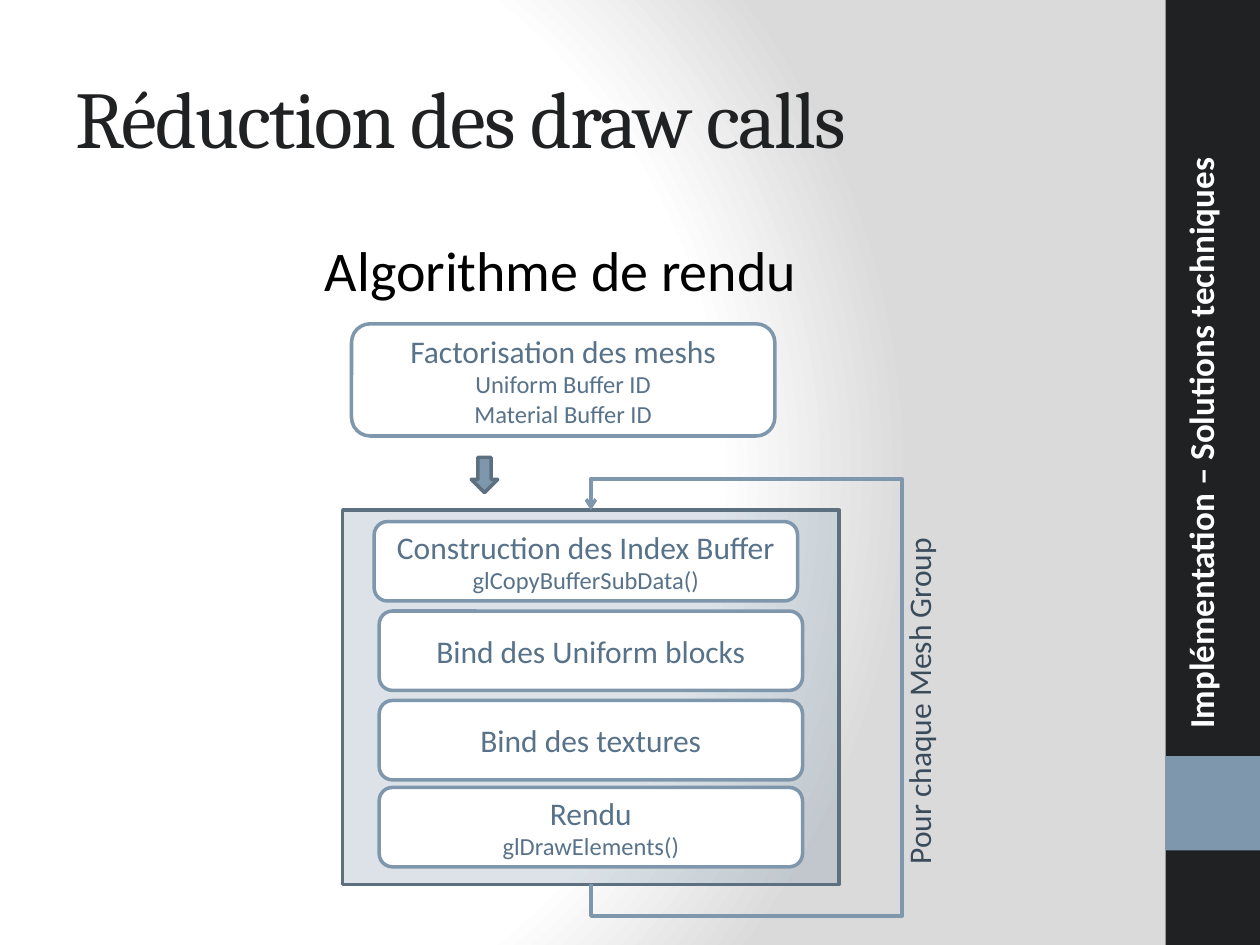
from lxml import etree
from pptx import Presentation
from pptx.dml.color import RGBColor
from pptx.enum.shapes import MSO_SHAPE as Kind
from pptx.enum.text import MSO_ANCHOR as Anchor, MSO_AUTO_SIZE as Fit, PP_ALIGN as Align
from pptx.oxml import parse_xml
from pptx.oxml.ns import qn
from pptx.util import Inches, Pt

DARK, BLUE, EDGE, INK, WHITE = "1F2123", "7E97AD", "5D7080", "577289", "FFFFFF"
BACK = """<a:gradFill xmlns:a="http://schemas.openxmlformats.org/drawingml/2006/main" rotWithShape="1">
<a:gsLst>
<a:gs pos="0"><a:srgbClr val="FFFFFF"/></a:gs>
<a:gs pos="75000"><a:srgbClr val="FFFFFF"/></a:gs>
<a:gs pos="100000"><a:srgbClr val="DADADA"/></a:gs>
</a:gsLst>
<a:path path="circle"><a:fillToRect l="20000" t="50000" r="100000" b="50000"/></a:path>
</a:gradFill>"""


def color(code):
    return RGBColor.from_string(code)


def write(frame, text, size=18, ink=INK, face="Calibri", bold=False,
          align=Align.LEFT, small=14, space=None, track=None):
    """Fill a text frame; lines after the first take the small size."""
    for i, line in enumerate(text.split("\n")):
        para = frame.add_paragraph() if i else frame.paragraphs[0]
        para.alignment = align
        if space:
            para.line_spacing = space
        run = para.add_run()
        run.text = line
        font = run.font
        font.name, font.bold = face, bold
        font.size = Pt(small if i else size)
        font.color.rgb = color(ink)
        if track:
            font._element.set("spc", str(track))


class Deck:
    def __init__(self, wide, high):
        self.prs = Presentation()
        self.prs.slide_width, self.prs.slide_height = Inches(wide), Inches(high)
        self.slide = self.prs.slides.add_slide(self.prs.slide_layouts[5])
        self.shapes = self.slide.shapes

    def back(self, xml):
        fill = self.slide.background.fill
        fill.solid()
        solid = self.slide._element.find(".//" + qn("p:bgPr")).find(qn("a:solidFill"))
        solid.getparent().replace(solid, parse_xml(xml))

    def title(self, text, box):
        shape = self.shapes.title
        shape.left, shape.top, shape.width, shape.height = map(Inches, box)
        frame = shape.text_frame
        frame.vertical_anchor = Anchor.MIDDLE
        write(frame, text, size=46, ink=DARK, face="Cambria", track=-100)

    def shape(self, kind, box, fill, line=None, alpha=None):
        shape = self.shapes.add_shape(kind, *map(Inches, box))
        shape.shadow.inherit = False
        shape.fill.solid()
        shape.fill.fore_color.rgb = color(fill)
        if alpha:
            tone = shape._element.spPr.find(qn("a:solidFill"))[0]
            etree.SubElement(tone, qn("a:alpha")).set("val", str(alpha * 1000))
        if line:
            shape.line.color.rgb = color(line)
            shape.line.width = Pt(2)
        else:
            shape.line.fill.background()
        return shape

    def step(self, text, box):
        shape = self.shape(Kind.ROUNDED_RECTANGLE, box, WHITE, BLUE)
        frame = shape.text_frame
        frame.word_wrap = True
        frame.vertical_anchor = Anchor.MIDDLE
        write(frame, text, align=Align.CENTER)

    def label(self, text, box, upward=False, **style):
        frame = self.shapes.add_textbox(*map(Inches, box)).text_frame
        frame.word_wrap = upward
        frame.auto_size = Fit.SHAPE_TO_FIT_TEXT
        if upward:
            frame._txBody.bodyPr.set("vert", "vert270")
        write(frame, text, **style)

    def loop(self, points):
        """Open bent line with an arrowhead at its last point."""
        spots = [(Inches(x), Inches(y)) for x, y in points]
        path = self.shapes.build_freeform(*spots[0])
        path.add_line_segments(spots[1:], close=False)
        shape = path.convert_to_shape()
        shape.shadow.inherit = False
        shape.fill.background()
        shape.line.color.rgb = color(BLUE)
        shape.line.width = Pt(2)
        etree.SubElement(shape.line._get_or_add_ln(), qn("a:tailEnd")).set("type", "arrow")


def main():
    deck = Deck(10, 7.5)
    deck.back(BACK)

    # Side band and headings
    deck.shape(Kind.RECTANGLE, (9.25, 0, 0.75, 7.5), DARK)
    deck.shape(Kind.RECTANGLE, (9.25, 6, 0.75, 0.75), BLUE)
    deck.title("Réduction des draw calls", (0.5, 0.3, 8.33, 1.25))
    deck.label("Implémentation – Solutions techniques", (9.31, 0, 0.54, 5.88),
               upward=True, size=20, ink=WHITE, bold=True)
    deck.label("Algorithme de rendu", (2.48, 1.55, 3.98, 0.83),
               size=32, ink="000000", space=1.5)

    # First step
    deck.step("Factorisation des meshs\nUniform Buffer ID\nMaterial Buffer ID",
              (2.79, 2.57, 3.36, 0.89))

    # Frame of the repeated steps, with its return path
    left, top, wide, high = 2.72, 4.05, 3.94, 2.97
    mid, low, far, gap = left + wide / 2, top + high, 7.16, 0.25
    deck.shape(Kind.RECTANGLE, (left, top, wide, high), BLUE, EDGE, alpha=27)
    deck.loop([(mid, low), (mid, low + gap), (far, low + gap),
               (far, top - gap), (mid, top - gap), (mid, top)])
    deck.label("Pour chaque Mesh Group", (7.09, 3.84, 0.5, 3.12),
               upward=True, ink="3A4C5B")
    deck.shape(Kind.DOWN_ARROW, (3.74, 3.63, 0.21, 0.28), BLUE, EDGE)

    # Repeated steps
    steps = [
        ("Construction des Index Buffer\nglCopyBufferSubData()", 2.97, 4.14),
        ("Bind des Uniform blocks", 3.01, 4.85),
        ("Bind des textures", 3.01, 5.56),
        ("Rendu\nglDrawElements()", 3.01, 6.25),
    ]
    for text, x, y in steps:
        deck.step(text, (x, y, 3.36, 0.63))

    deck.prs.save("out.pptx")


if __name__ == "__main__":
    main()
